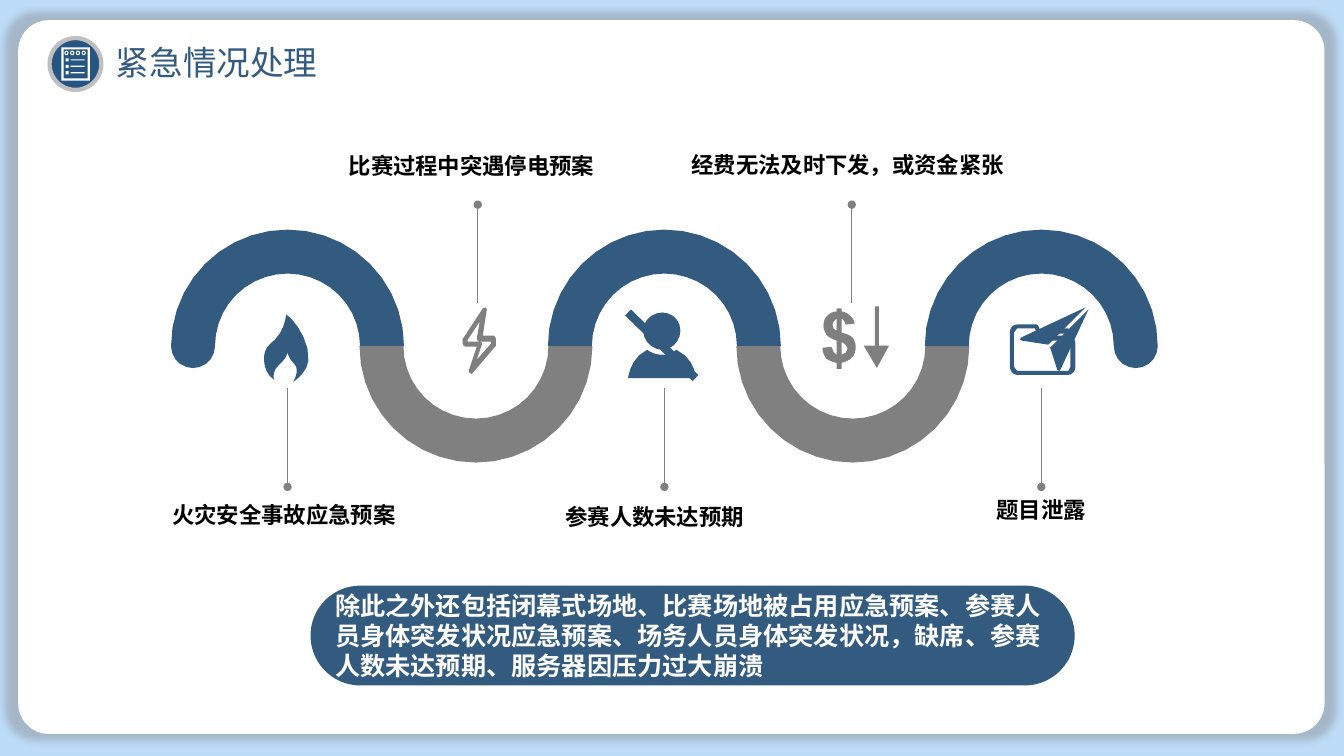
from math import cos, dist, radians, sin

from lxml.etree import SubElement
from pptx import Presentation
from pptx.dml.color import RGBColor
from pptx.enum.shapes import MSO_CONNECTOR as LINK, MSO_SHAPE as KIND
from pptx.enum.text import MSO_ANCHOR as ANCHOR, MSO_AUTO_SIZE as FIT, PP_ALIGN as ALIGN
from pptx.oxml.ns import qn
from pptx.util import Pt

COLORS = {
    "sky": "BDDCF8", "blue": "325B7F", "badge": "255580", "gray": "808080",
    "icon": "7F7F7F", "rim": "BFBFBF", "white": "FFFFFF", "black": "000000",
}
FONT = "Noto Sans CJK SC"
GRID = 0.72  # points per icon unit
MID, OUTER, INNER = 247.2, 83.2, 51.8  # wave axis and radii
HUBS = [205.4 + 134.6 * i for i in range(5)]

FLAME = """M 22 0 C 22 0 21 15 11 25 C 2 32 1 36 0 42 C 0 47 0 58 10 65
C 10 65 7 56 16 49 C 24 42 23 37 23 37 C 23 37 25 45 30 49
C 34 53 33 60 29 67 C 29 67 43 58 44 46 C 46 26 29 4 22 0"""
BOLT = """M 31 29 L 20 29 L 24 3 L 23 1 L 20 2 L 1 31 L 0 32 L 0 37 L 1 39 L 3 40
L 14 40 L 6 64 L 7 66 L 9 67 L 10 66 L 33 39 L 33 37 L 33 32 L 32 30
M 19 38 L 19 36 L 17 35 L 5 35 L 5 33 L 17 15 L 14 32
L 15 34 L 17 35 L 28 35 L 28 37 L 14 53"""
PERSON = """M 15 18 C 15 8 24 0 34 0 C 44 0 52 8 52 18 C 52 28 44 37 34 37
C 24 37 15 28 15 18 M 0 65 C 1 61 3 45 19 37 C 23 40 28 42 34 42
C 39 42 44 40 48 37 C 65 45 67 61 67 65"""
MONEY = """M 19 35 L 19 48 L 23 46 L 25 42 L 23 38
M 14 12 L 11 15 L 10 18 L 11 22 L 14 24
M 14 2 L 19 2 L 19 5 C 22 5 25 7 27 9 C 30 11 31 13 32 17 L 23 18
C 22 15 21 13 19 12 L 19 26 C 24 27 28 29 30 31 C 32 34 33 37 33 40
C 33 44 32 48 29 51 C 27 53 23 55 19 56 L 19 62 L 14 62 L 14 56
C 10 55 7 54 4 52 C 2 49 0 46 0 41 L 9 40 L 11 45 L 14 48 L 14 34
C 10 32 6 31 4 28 C 2 25 1 22 1 19 C 1 15 2 12 5 9 C 7 7 10 5 14 5
M 52 0 L 56 0 L 56 39 L 66 39 L 54 61 L 41 39 L 52 39"""
FOLDER = """M 37 9 L 58 9 L 60 7 L 58 4 L 37 4 L 35 7
M 58 11 L 31 11 L 30 7 C 29 2 28 0 26 0 L 7 0 C 3 0 0 3 0 8
L 0 42 C 0 46 3 50 7 50 L 58 50 C 62 50 65 46 65 42 L 65 19
C 65 15 62 11 58 11
M 60 42 L 58 46 L 7 46 L 4 42 L 4 8 L 7 4 L 25 4 L 26 8
C 27 13 28 16 30 16 L 58 16 L 60 19"""
PLANE = """M 68 2 L 40 62 L 39 63 L 37 62 L 30 40
M 65 0 L 28 37 L 2 33 L 0 32 L 1 30"""

ICONS = [
    (FLAME, 188.6, 224.6, "blue"), (BOLT, 330.5, 218.9, "icon"),
    (PERSON, 448.6, 223.2, "blue"), (MONEY, 587.5, 218.9, "icon"),
    (FOLDER, 721.4, 231.8, "blue"), (PLANE, 728.6, 219.6, "blue"),
]
LABELS = [
    ("火灾安全事故应急预案", 111.6, 352.1, 184.5, ALIGN.LEFT),
    ("比赛过程中突遇停电预案", 237.6, 103, 207.5, ALIGN.LEFT),
    ("参赛人数未达预期", 392.4, 353.5, 158.4, ALIGN.LEFT),
    ("经费无法及时下发，或资金紧张", 482.4, 102.2, 253.5, ALIGN.LEFT),
    ("题目泄露", 664.6, 348.5, 158.4, ALIGN.CENTER),
]
SUMMARY = ("除此之外还包括闭幕式场地、比赛场地被占用应急预案、参赛人员身体突发状况应急预案、"
           "场务人员身体突发状况，缺席、参赛人数未达预期、服务器因压力过大崩溃")


def rgb(name):
    return RGBColor.from_string(COLORS[name])


def paint(shape, fill, rim=None, width=0):
    shape.shadow.inherit = False
    shape.fill.solid()
    shape.fill.fore_color.rgb = rgb(fill)
    if rim:
        shape.line.color.rgb = rgb(rim)
        shape.line.width = Pt(width)
    else:
        shape.line.fill.background()
    return shape


def block(slide, kind, box, fill, *rim):
    return paint(slide.shapes.add_shape(kind, *map(Pt, box)), fill, *rim)


def outline(slide, loops, fill):
    """Draw closed loops of points as one shape; inner loops become holes."""
    loops = [[(100 * x, 100 * y) for x, y in loop] for loop in loops]
    pen = slide.shapes.build_freeform(*loops[0][0], scale=Pt(0.01))
    for i, loop in enumerate(loops):
        if i:
            pen.move_to(*loop[0])
        pen.add_line_segments(loop[1:], close=True)
    return paint(pen.convert_to_shape(), fill)


def bend(a, b, c, d):
    """Points along a cubic curve, without its start; short curves get few."""
    steps = max(2, min(5, round(dist(a, d) / 2)))
    for i in range(1, steps + 1):
        t = i / steps
        u = 1 - t
        yield tuple(u**3 * p + 3 * u * u * t * q + 3 * u * t * t * r + t**3 * s
                    for p, q, r, s in zip(a, b, c, d))


def trace(text, left, top):
    """Turn M, L and C commands on the icon grid into loops in points."""
    words, loops = iter(text.split()), []
    for word in words:
        pts = [(left + GRID * float(next(words)), top + GRID * float(next(words)))
               for _ in range(3 if word == "C" else 1)]
        if word == "M":
            loops.append(pts)
        elif word == "L":
            loops[-1] += pts
        else:
            loops[-1] += bend(loops[-1][-1], *pts)
    return loops


def arc(hub, size, start, end, steps=20):
    angles = [radians(start + (end - start) * i / steps) for i in range(steps + 1)]
    return [(hub + size * cos(a), MID + size * sin(a)) for a in angles]


def wave(slide):
    mean, cap = (OUTER + INNER) / 2, (OUTER - INNER) / 2
    for i, hub in enumerate(HUBS):
        end = 0 if i % 2 else 360
        loop = arc(hub, OUTER, 180, end)
        if hub == HUBS[-1]:
            loop += arc(hub + mean, cap, 0, 180, 10)
        loop += arc(hub, INNER, end, 180)
        if hub == HUBS[0]:
            loop += arc(hub - mean, cap, 0, 180, 10)
        outline(slide, [loop], "gray" if i % 2 else "blue")


def rule(slide, ends, color, width, dot=False):
    line = slide.shapes.add_connector(LINK.STRAIGHT, *map(Pt, ends))
    line.line.color.rgb = rgb(color)
    line.line.width = Pt(width)
    props = line._element.spPr
    if dot:
        SubElement(props.find(qn("a:ln")), qn("a:headEnd"), type="oval")
    SubElement(props, qn("a:effectLst"))


def write(shape, text, size, color, bold=False, align=ALIGN.LEFT, **frame):
    for key, value in {"word_wrap": True, **frame}.items():
        setattr(shape.text_frame, key, value)
    para = shape.text_frame.paragraphs[0]
    para.alignment = align
    run = para.add_run()
    run.text = text
    for key, value in {"name": FONT, "size": Pt(size), "bold": bold}.items():
        setattr(run.font, key, value)
    run.font.color.rgb = rgb(color)
    SubElement(run._r.get_or_add_rPr(), qn("a:ea"), typeface=FONT)


def label(slide, text, box, size, color, side, edge, **style):
    pads = {"margin_left": Pt(side), "margin_right": Pt(side),
            "margin_top": Pt(edge), "margin_bottom": Pt(edge)}
    write(slide.shapes.add_textbox(*map(Pt, box)), text, size, color,
          auto_size=FIT.SHAPE_TO_FIT_TEXT, **pads, **style)


def card(slide):
    slide.background.fill.solid()
    slide.background.fill.fore_color.rgb = rgb("sky")
    panel = block(slide, KIND.ROUNDED_RECTANGLE, (13, 14.4, 933.1, 509.8), "white")
    panel.adjustments[0] = 0.043
    glow = SubElement(panel._element.spPr.find(qn("a:effectLst")), qn("a:outerShdw"),
                      blurRad=str(Pt(5)), sx="102000", sy="102000", algn="ctr", rotWithShape="0")
    tint = SubElement(glow, qn("a:srgbClr"), val=COLORS["gray"])
    SubElement(tint, qn("a:alpha"), val="40000")


def bar(x, y, width, height):
    return [(x, y), (x + width, y), (x + width, y + height), (x, y + height)]


def badge(slide):
    block(slide, KIND.OVAL, (35.4, 27.2, 37, 37), "badge", "rim", 3)
    page = [bar(43.9, 33.8, 20.2, 23.8), bar(45.5, 35.4, 17, 20.6)]
    for i in range(3):
        y = 42.8 + 4.6 * i
        page += [bar(46.8, y - 1.1, 2.2, 2.2), bar(50.4, y - 0.4, 10.1, 0.8)]
    outline(slide, page, "white")
    for i in range(4):
        block(slide, KIND.DONUT, (46 + 4.1 * i, 36.2, 3, 3.2), "white")


def main():
    deck = Presentation()
    deck.slide_width, deck.slide_height = Pt(960), Pt(540)
    slide = deck.slides.add_slide(deck.slide_layouts[6])
    card(slide)
    wave(slide)
    for x in HUBS[::2]:
        rule(slide, (x, 347.8, x, 277.2), "gray", 0.5, dot=True)
    for x in (341.3, 608.4):
        rule(slide, (x, 146.2, x, 216.7), "gray", 0.5, dot=True)
    label(slide, "紧急情况处理", (73.4, 25.2, 320.4, 38.9), 24, "blue", 9.4, 5)
    badge(slide)
    for text, x, y, width, align in LABELS:
        label(slide, text, (x, y, width, 31), 16, "black", 11.5, 5.8, bold=True, align=align)
    for text, x, y, color in ICONS:
        outline(slide, trace(text, x, y), color)
    rule(slide, (448.6, 223.2, 496.8, 270), "blue", 6)
    pill = block(slide, KIND.ROUNDED_RECTANGLE, (221.8, 418.3, 545.8, 71.3), "blue")
    pill.adjustments[0] = 0.5
    write(pill, SUMMARY, 18, "white", bold=True, vertical_anchor=ANCHOR.MIDDLE)
    deck.save("out.pptx")


if __name__ == "__main__":
    main()
